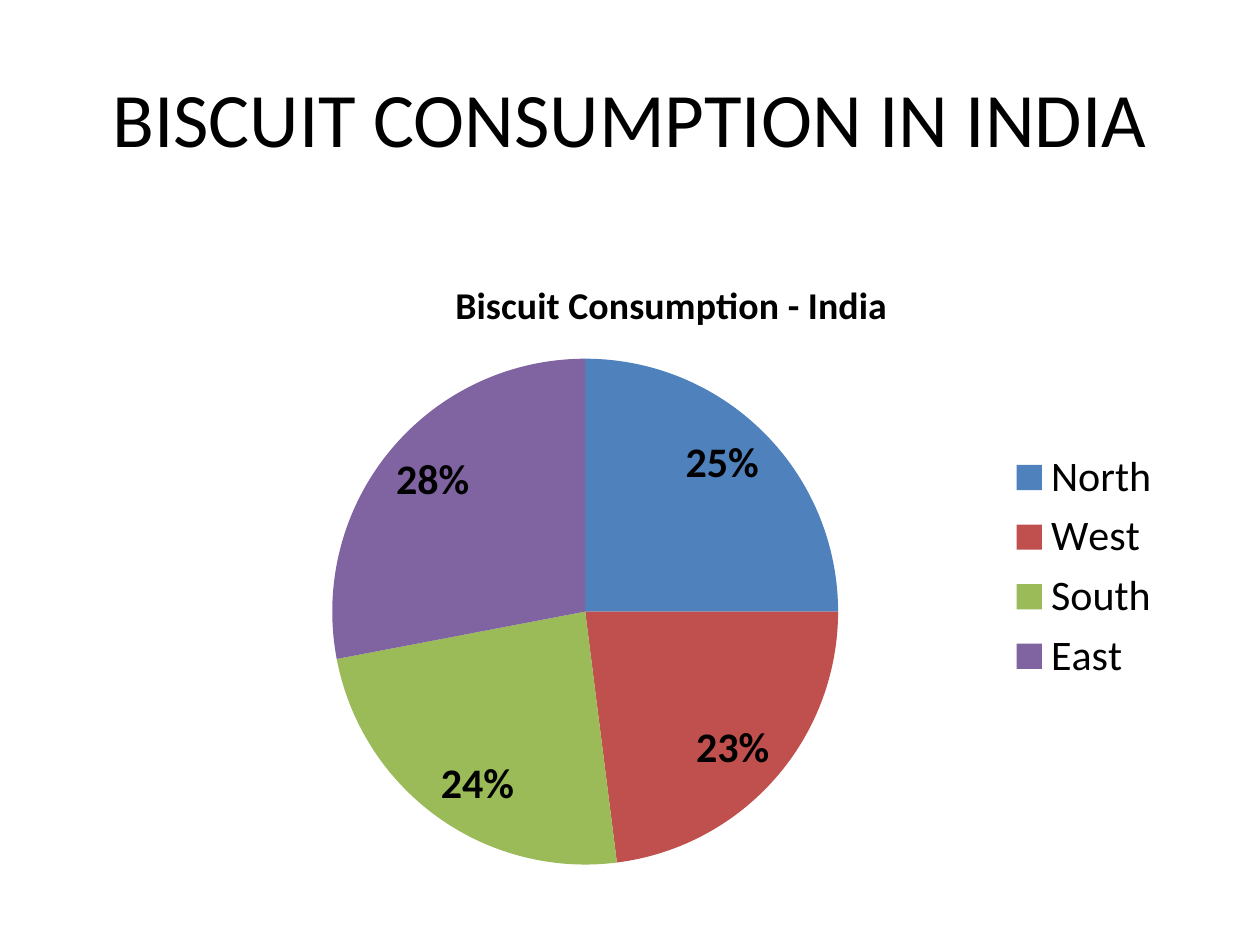
import pptx
import pptx.chart.data
import pptx.dml.color
import pptx.enum.chart
import pptx.enum.text
import pptx.util

Inches = pptx.util.Inches
FONT = "Calibri"


def color(code):
    return pptx.dml.color.RGBColor.from_string(code)


class Deck:
    def __init__(self):
        self.prs = pptx.Presentation()
        self.prs.slide_width = Inches(10)
        self.prs.slide_height = Inches(7.5)
        self.slide = self.prs.slides.add_slide(self.prs.slide_layouts[5])

    def style(self, font, size, bold=False):
        font.name = FONT
        font.size = pptx.util.Pt(size)
        font.bold = bold
        font.color.rgb = color("000000")

    def title(self, text, left, top, width, height):
        box = self.slide.shapes.title
        box.left, box.top = Inches(left), Inches(top)
        box.width, box.height = Inches(width), Inches(height)
        frame = box.text_frame
        frame.text = text
        frame.vertical_anchor = pptx.enum.text.MSO_ANCHOR.MIDDLE
        line = frame.paragraphs[0]
        line.alignment = pptx.enum.text.PP_ALIGN.CENTER
        self.style(line.runs[0].font, 44)

    def pie(self, text, parts, left, top, width, height):
        data = pptx.chart.data.CategoryChartData()
        data.categories = [name for name, value, fill in parts]
        data.add_series("Series 1", [value for name, value, fill in parts])
        chart = self.slide.shapes.add_chart(
            pptx.enum.chart.XL_CHART_TYPE.PIE,
            Inches(left), Inches(top), Inches(width), Inches(height), data).chart
        self.style(chart.font, 18)

        # Chart title
        chart.has_title = True
        frame = chart.chart_title.text_frame
        frame.text = text
        self.style(frame.paragraphs[0].runs[0].font, 21.6, True)
        chart.chart_title.include_in_layout = False

        # Legend
        chart.has_legend = True
        legend = chart.legend
        legend.position = pptx.enum.chart.XL_LEGEND_POSITION.RIGHT
        legend.include_in_layout = False
        self.style(legend.font, 24)

        # Slices and their labels
        plot = chart.plots[0]
        plot.vary_by_categories = True
        for index, (name, value, fill) in enumerate(parts):
            slice_fill = plot.series[0].points[index].format.fill
            slice_fill.solid()
            slice_fill.fore_color.rgb = color(fill)
        labels = plot.series[0].data_labels
        labels.show_percentage = True
        labels.show_value = False
        labels.number_format = "0%"
        labels.number_format_is_linked = False
        labels.position = pptx.enum.chart.XL_LABEL_POSITION.INSIDE_END
        self.style(labels.font, 24, True)


def main():
    deck = Deck()
    deck.title("BISCUIT CONSUMPTION IN INDIA", 0.5, 0.3, 9, 1.25)
    regions = [
        ("North", 25, "4F81BD"),
        ("West", 23, "C0504D"),
        ("South", 24, "9BBB59"),
        ("East", 28, "8064A2"),
    ]
    deck.pie("Biscuit Consumption - India", regions, 1.33, 2, 8, 5)
    deck.prs.save("out.pptx")


if __name__ == "__main__":
    main()
